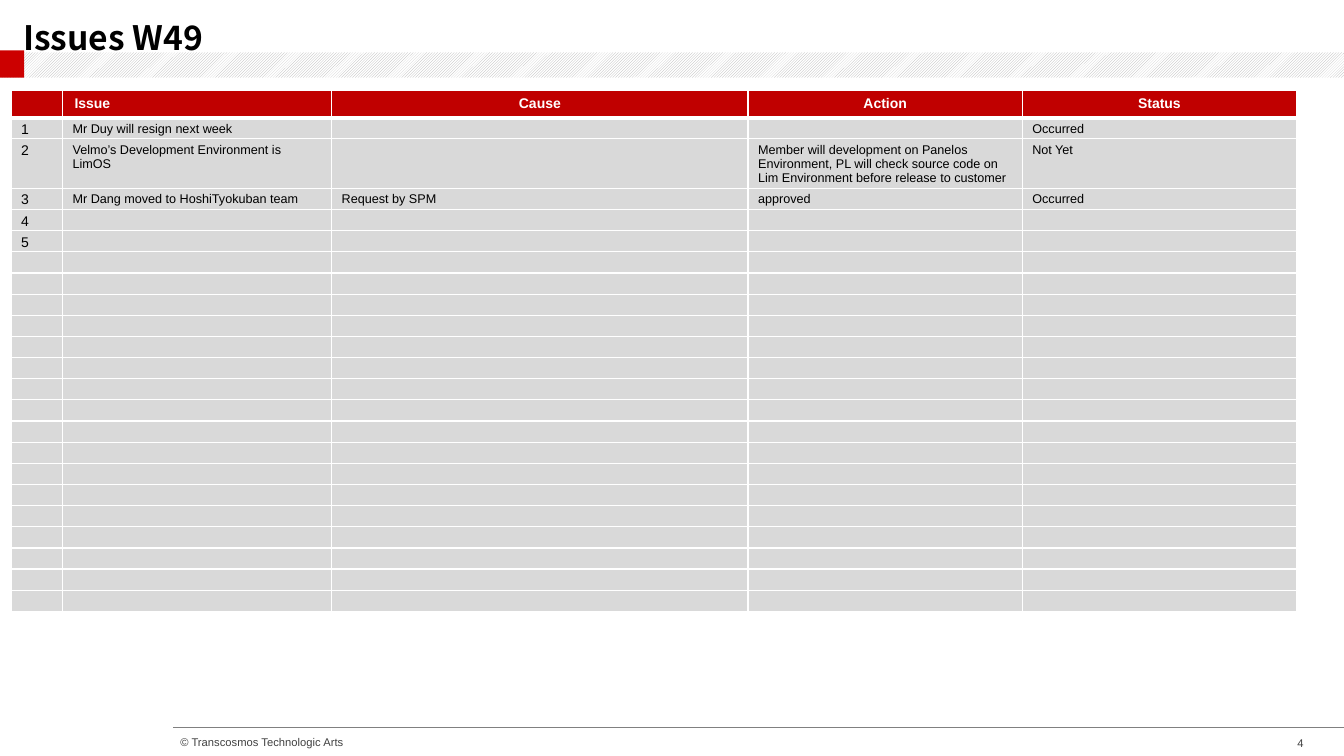
from lxml import etree
from pptx import Presentation
from pptx.dml.color import RGBColor
from pptx.enum import dml, shapes, text
from pptx.oxml.ns import qn
from pptx.util import Inches, Pt

TITLE = "Issues W49"
COPYRIGHT = "© Transcosmos Technologic Arts"
PAGE_NUMBER = "4"
HEADERS = ("", "Issue", "Cause", "Action", "Status")
ISSUES = [
    ("1", "Mr Duy will resign next week", "", "", "Occurred"),
    ("2", "Velmo’s Development Environment is LimOS", "",
     "Member will development on Panelos Environment, PL will check source code on "
     "Lim Environment before release to customer", "Not Yet"),
    ("3", "Mr Dang moved to HoshiTyokuban team", "Request by SPM", "approved", "Occurred"),
    ("4", "", "", "", ""),
    ("5", "", "", "", ""),
]
EMPTY_ROWS = 17
COLUMN_WIDTHS = (0.51, 2.67, 4.13, 2.72, 2.72)
HEADER_HEIGHT, ROW_HEIGHT, TALL_HEIGHT, TALL_ROW = 0.26, 0.21, 0.46, 2
HEADER_MARGINS = (0.12, 0.05, 0.12, 0.05)
BODY_MARGINS = (0.1, 0.04, 0.1, 0)

WHITE = RGBColor(0xFF, 0xFF, 0xFF)
BLACK = RGBColor(0, 0, 0)
CRIMSON = RGBColor(0xC0, 0, 0)
RED = RGBColor(0xCC, 0, 0)
CELL_GRAY = RGBColor(0xD9, 0xD9, 0xD9)
HATCH_GRAY = RGBColor(0xB2, 0xB2, 0xB2)
LINE_GRAY = RGBColor(0x80, 0x80, 0x80)
TEXT_GRAY = RGBColor(0x40, 0x40, 0x40)


def set_margins(target, margins):
    target.margin_left, target.margin_top, target.margin_right, target.margin_bottom = map(Inches, margins)


def format_text(para, size, color, bold=False, font="Arial", align=text.PP_ALIGN.LEFT):
    para.alignment = align
    for span in para.runs:
        span.font.name, span.font.size, span.font.bold = font, Pt(size), bold
        span.font.color.rgb = color


def add_rectangle(page, *place):
    box = page.shapes.add_shape(shapes.MSO_SHAPE.RECTANGLE, *map(Inches, place))
    box.shadow.inherit = False
    box.line.fill.background()
    return box


def add_footer(page, words, place, margins, align):
    box = page.shapes.add_textbox(*map(Inches, place))
    frame = box.text_frame
    frame.text = words
    frame.word_wrap = False
    frame.vertical_anchor = text.MSO_ANCHOR.MIDDLE
    set_margins(frame, margins)
    format_text(frame.paragraphs[0], 8, TEXT_GRAY, align=align)


def add_frame(page):
    rule = page.shapes.add_connector(
        shapes.MSO_CONNECTOR.STRAIGHT, *map(Inches, (1.72, 7.22, 13.33, 7.22)))
    rule.line.color.rgb, rule.line.width = LINE_GRAY, Pt(1)
    etree.SubElement(rule.element.spPr, qn("a:effectLst"))
    band = add_rectangle(page, 0, 0.52, 13.33, 0.25)
    band.element.spPr.xfrm.set("flipV", "1")
    band.fill.patterned()
    band.fill.pattern = dml.MSO_PATTERN.LIGHT_UPWARD_DIAGONAL
    band.fill.fore_color.rgb, band.fill.back_color.rgb = HATCH_GRAY, WHITE
    marker = add_rectangle(page, -0.01, 0.5, 0.25, 0.27)
    marker.fill.solid()
    marker.fill.fore_color.rgb = RED
    add_footer(page, PAGE_NUMBER, (12.44, 7.25, 0.56, 0.24),
               (0.07, 0.03, 0.07, 0.03), text.PP_ALIGN.RIGHT)
    add_footer(page, COPYRIGHT, (1.69, 7.25, 1.89, 0.23),
               (0.1, 0.05, 0.1, 0.05), text.PP_ALIGN.LEFT)


def add_title(page):
    title = page.shapes.title
    title.left, title.top, title.width, title.height = map(Inches, (0.16, 0.18, 1.97, 0.42))
    frame = title.text_frame
    frame.text = TITLE
    frame.word_wrap = False
    frame.auto_size = text.MSO_AUTO_SIZE.SHAPE_TO_FIT_TEXT
    frame.vertical_anchor = text.MSO_ANCHOR.BOTTOM
    set_margins(frame, (0.07, 0.03, 0.07, 0.03))
    para = frame.paragraphs[0]
    para.line_spacing, para.space_before = 0.9, Pt(0)
    format_text(para, 24, BLACK, True, "Noto Sans CJK JP")
    title.element.getparent().append(title.element)


def set_borders(cell, row):
    widths = {"L": 1, "R": 1, "T": 3 if row == 1 else 1, "B": 3 if row == 0 else 1}
    properties = cell._tc.get_or_add_tcPr()
    for side, width in widths.items():
        line = etree.SubElement(properties, qn(f"a:ln{side}"), w=str(Pt(width)))
        fill = etree.SubElement(line, qn("a:solidFill"))
        etree.SubElement(fill, qn("a:srgbClr"), val=str(WHITE))


def fill_cell(cell, words, row, column):
    header = row == 0
    set_borders(cell, row)
    cell.fill.solid()
    cell.fill.fore_color.rgb = CRIMSON if header else CELL_GRAY
    set_margins(cell, HEADER_MARGINS if header else BODY_MARGINS)
    para = cell.text_frame.paragraphs[0]
    size = 10 if header or column == 0 else 9
    if words:
        para.text = words
        centered = header and column > 1
        format_text(para, size, WHITE if header else BLACK, header,
                    align=text.PP_ALIGN.CENTER if centered else text.PP_ALIGN.LEFT)
    else:
        etree.SubElement(para._p, qn("a:endParaRPr"), sz=str(size * 100))


def add_issue_table(page):
    rows = [HEADERS, *ISSUES, *[("",) * len(HEADERS)] * EMPTY_ROWS]
    heights = [ROW_HEIGHT] * len(rows)
    heights[0], heights[TALL_ROW] = HEADER_HEIGHT, TALL_HEIGHT
    place = (0.11, 0.9, sum(COLUMN_WIDTHS), sum(heights))
    table = page.shapes.add_table(len(rows), len(HEADERS), *map(Inches, place)).table
    table.horz_banding = False
    for column, width in zip(table.columns, COLUMN_WIDTHS):
        column.width = Inches(width)
    for row, (words, height) in enumerate(zip(rows, heights)):
        table.rows[row].height = Inches(height)
        for column, word in enumerate(words):
            fill_cell(table.cell(row, column), word, row, column)


def main():
    """Build the weekly issues slide."""
    deck = Presentation()
    deck.slide_width, deck.slide_height = Inches(13.33), Inches(7.5)
    page = deck.slides.add_slide(deck.slide_layouts[5])
    add_frame(page)
    add_title(page)
    add_issue_table(page)
    deck.save("out.pptx")


if __name__ == "__main__":
    main()
